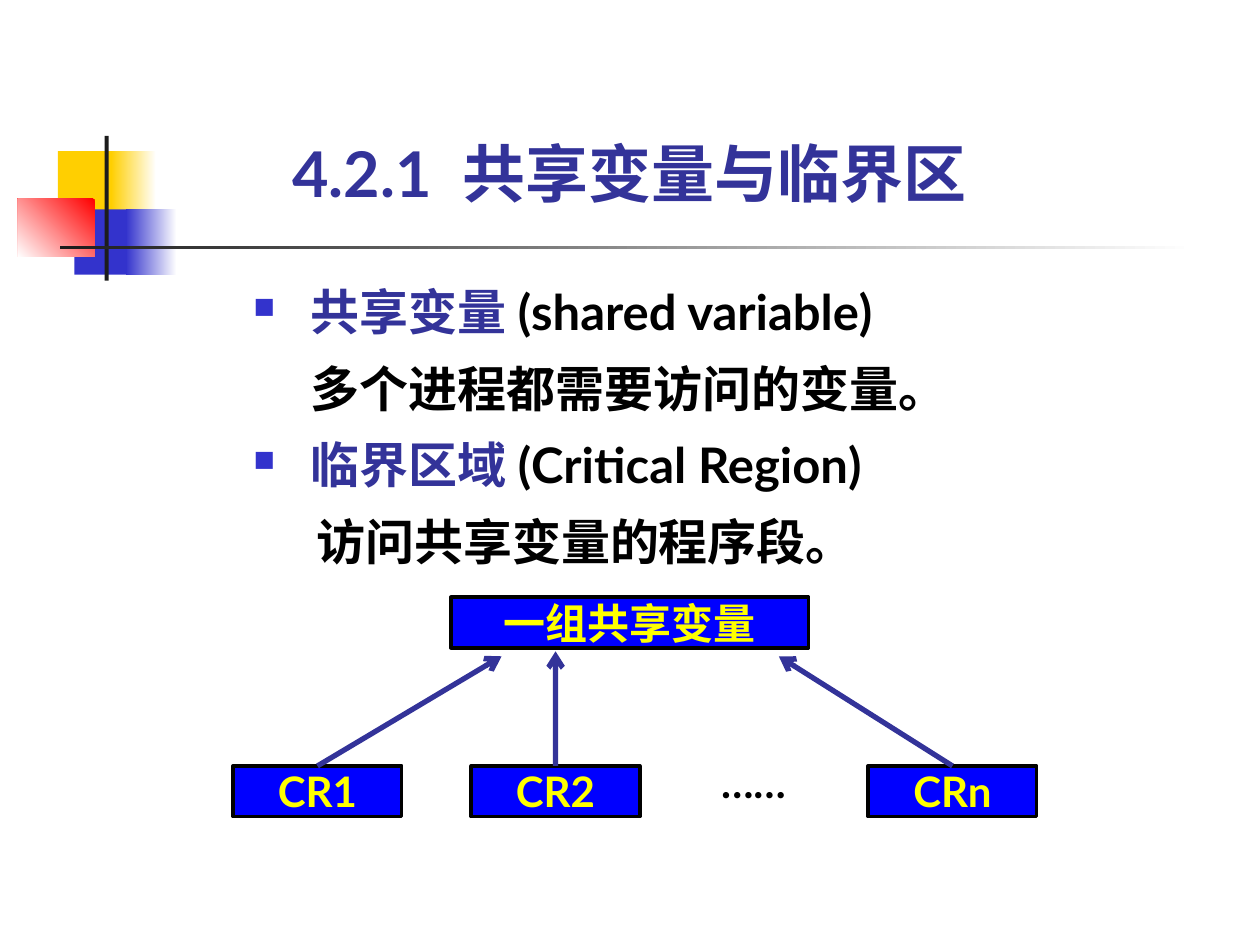
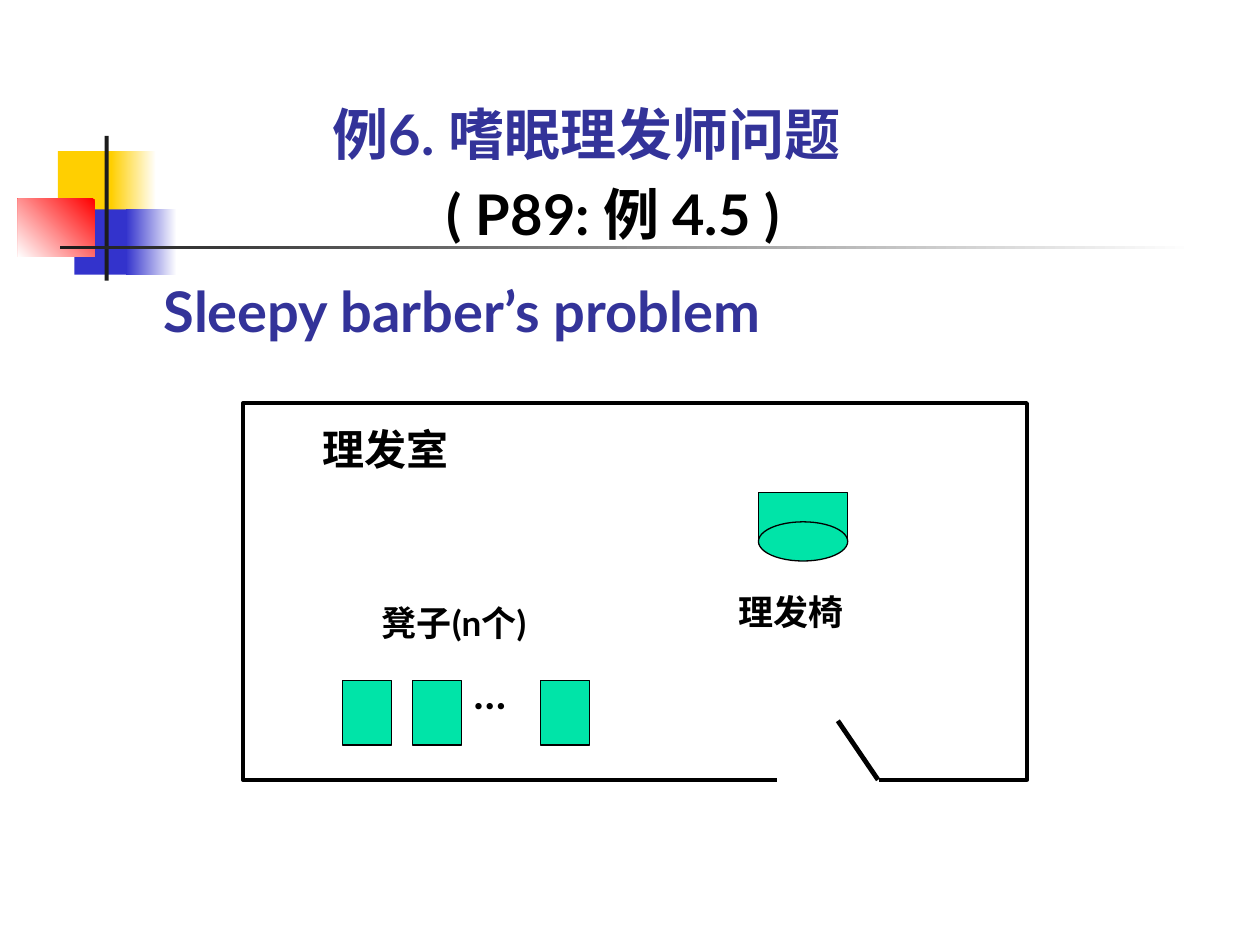
"""Build two slides on critical regions and the sleepy barber problem."""
from lxml import etree
from pptx import Presentation, util as u
from pptx.dml.color import RGBColor
from pptx.enum import shapes, text
from pptx.oxml import ns

FONT = "Lato"
COLORS = {
    "title": "333399", "black": "000000", "white": "FFFFFF", "ink": "1C1C1C",
    "gold": "FFCF01", "blue": "3333CC", "red": "FF0000",
    "box": "0000FF", "yellow": "FFFF00", "green": "00E4A8",
}


def rgb(name):
    """Return the named colour."""
    return RGBColor.from_string(COLORS[name])


def sub(parent, tag, **attrs):
    """Append a DrawingML element to parent."""
    return etree.SubElement(parent, ns.qn(f"a:{tag}"), **attrs)


def write(tf, content, size=24, color="black", tail="", align=None, spacing=None,
          left=0, hang=0, bullet=None):
    """Add one formatted paragraph, with an optional black tail, to a frame."""
    p = tf.paragraphs[0]
    if p.runs:
        p = tf.add_paragraph()
    pPr = p._p.get_or_add_pPr()
    pPr.set("marL", str(u.Cm(left)))
    pPr.set("indent", str(-u.Cm(hang)))
    if bullet:
        sub(sub(pPr, "buClr"), "srgbClr", val=COLORS["blue"])
        sub(pPr, "buSzPct", val="60000")
        sub(pPr, "buChar", char=bullet)
    p.alignment = align
    p.line_spacing = spacing
    for part, shade in ((content, color), (tail, "black")):
        if part:
            r = p.add_run()
            r.text = part
            r.font.name, r.font.size, r.font.bold = FONT, u.Pt(size), True
            r.font.color.rgb = rgb(shade)


class Deck:
    """Hold the presentation style and the current slide."""

    def __init__(self):
        """Start an empty 10 by 7.5 inch presentation."""
        self.prs = Presentation()
        self.prs.slide_width, self.prs.slide_height = u.Cm(25.4), u.Cm(19.05)

    def new_slide(self):
        """Add a blank slide with the shared corner decoration."""
        self.s = self.prs.slides.add_slide(self.prs.slide_layouts[6])
        self.shape(1.17, 3.05, 1.22, 1.32, "gold")
        self.fade(2.24, 3.05, 0.91, 1.32, "white", "gold")
        self.shape(1.5, 4.22, 1.17, 1.32, "blue")
        self.fade(2.54, 4.22, 1.02, 1.32, "white", "blue")
        self.fade(0.36, 4.01, 1.55, 1.17, "red", "white", 225)
        self.shape(2.11, 2.74, 0.08, 2.92, "ink")
        self.fade(1.22, 4.95, 22.86, 0.08, "white", "ink")

    def shape(self, x, y, w, h, fill, line=None, width=0.75, kind="RECTANGLE"):
        """Add a filled preset shape."""
        sp = self.s.shapes.add_shape(shapes.MSO_SHAPE[kind], *map(u.Cm, (x, y, w, h)))
        sp.shadow.inherit = False
        sp.fill.solid()
        sp.fill.fore_color.rgb = rgb(fill)
        if line:
            sp.line.color.rgb = rgb(line)
            sp.line.width = u.Pt(width)
        else:
            sp.line.fill.background()
        return sp

    def fade(self, x, y, w, h, start, end, angle=180):
        """Add a rectangle with a two-colour gradient."""
        sp = self.shape(x, y, w, h, end)
        sp.fill.gradient()
        sp.fill.gradient_angle = angle
        for stop, name in zip(sp.fill.gradient_stops, (start, end)):
            stop.color.rgb = rgb(name)

    def frame(self, sp, anchor):
        """Return the wrapped text frame of a shape, without margins."""
        tf = sp.text_frame
        tf.word_wrap = True
        tf.margin_left = tf.margin_top = tf.margin_right = tf.margin_bottom = 0
        tf.vertical_anchor = text.MSO_ANCHOR[anchor]
        return tf

    def textbox(self, x, y, w, h, content=None, anchor="TOP", **fmt):
        """Add a text box and return its frame."""
        tf = self.frame(self.s.shapes.add_textbox(*map(u.Cm, (x, y, w, h))), anchor)
        if content:
            write(tf, content, **fmt)
        return tf

    def label_box(self, x, y, w, h, content):
        """Add a blue box with a centred yellow label."""
        sp = self.shape(x, y, w, h, "box", "black", 2)
        write(self.frame(sp, "MIDDLE"), content, color="yellow", align=text.PP_ALIGN.CENTER)
        return sp

    def line(self, start, end, color, width, source=None, arrow=False):
        """Add a straight line, optionally from the top of a shape."""
        c = self.s.shapes.add_connector(
            shapes.MSO_CONNECTOR.STRAIGHT, *map(u.Cm, (*start, *end)))
        if source is not None:
            c.begin_connect(source, 0)
        c.line.color.rgb = rgb(color)
        c.line.width = u.Pt(width)
        if arrow:
            sub(c.line._get_or_add_ln(), "tailEnd", type="arrow")
        sub(c._element.spPr, "effectLst")


def shared_variables(d):
    """Build the slide on shared variables and critical regions."""
    d.new_slide()
    tf = d.textbox(5.11, 5.33, 16, 6.17)
    terms = (("共享变量 ", "(shared variable)", "多个进程都需要访问的变量。", 1.16),
             ("临界区域 ", "(Critical Region)", "访问共享变量的程序段。", 1.27))
    for term, english, meaning, left in terms:
        write(tf, term, 28, "title", tail=english, spacing=1.3,
              left=1.16, hang=1.16, bullet="■")
        write(tf, meaning, 28, spacing=1.3, left=left)
    d.textbox(5.89, 2.95, 15, 1.3, "4.2.1  共享变量与临界区", "BOTTOM",
              size=36, color="title", spacing=0.85)
    d.label_box(9.09, 12.04, 7.21, 1.02, "一组共享变量")
    y, w = 15.44, 3.4
    regions = (("CR1", 4.7, (10.11, 13.23)), ("CR2", 9.5, (11.2, 13.13)),
               ("CRn", 17.5, (15.7, 13.23)))
    for name, x, tip in regions:
        sp = d.label_box(x, y, w, 1.02, name)
        d.line((x + w / 2, y), tip, "title", 3, source=sp, arrow=True)
    d.textbox(13.49, y, w, 0.81, "……", align=text.PP_ALIGN.CENTER, spacing=0.8)


def sleepy_barber(d):
    """Build the slide on the sleepy barber problem."""
    d.new_slide()
    tf = d.textbox(6.71, 1.73, 11.51, 3.25, "例6. 嗜眠理发师问题", "BOTTOM",
                   size=32, color="title", spacing=1.2)
    write(tf, "( P89: 例 4.5 )", 32, spacing=1.2, left=2.3)
    d.textbox(3.3, 5.72, 15.39, 1.22, "Sleepy barber’s problem",
              size=32, color="title", spacing=0.9)
    d.shape(4.9, 8.13, 15.8, 7.59, "white", "black", 2.5)
    d.textbox(6.5, 8.53, 2.79, 1.02, "理发室")
    for x in (6.91, 8.31, 10.9):
        d.shape(x, 13.72, 0.99, 1.3, "green", "black")
    d.textbox(9.55, 13.46, 0.89, 1.02, "…")
    d.textbox(7.7, 12.12, 3.58, 0.85, "凳子(n个)", size=20)
    d.shape(15.29, 9.93, 1.8, 0.99, "green", "black")
    d.shape(15.29, 10.52, 1.8, 0.79, "green", "black", kind="OVAL")
    d.textbox(14.88, 11.91, 2.4, 0.84, "理发椅", size=20)
    d.shape(15.7, 14.94, 2, 1.6, "white", "white", 1.5)
    d.line((17.7, 15.72), (16.89, 14.53), "black", 2.75)


def main():
    """Build and save the presentation."""
    d = Deck()
    shared_variables(d)
    sleepy_barber(d)
    d.prs.save("out.pptx")


if __name__ == "__main__":
    main()
